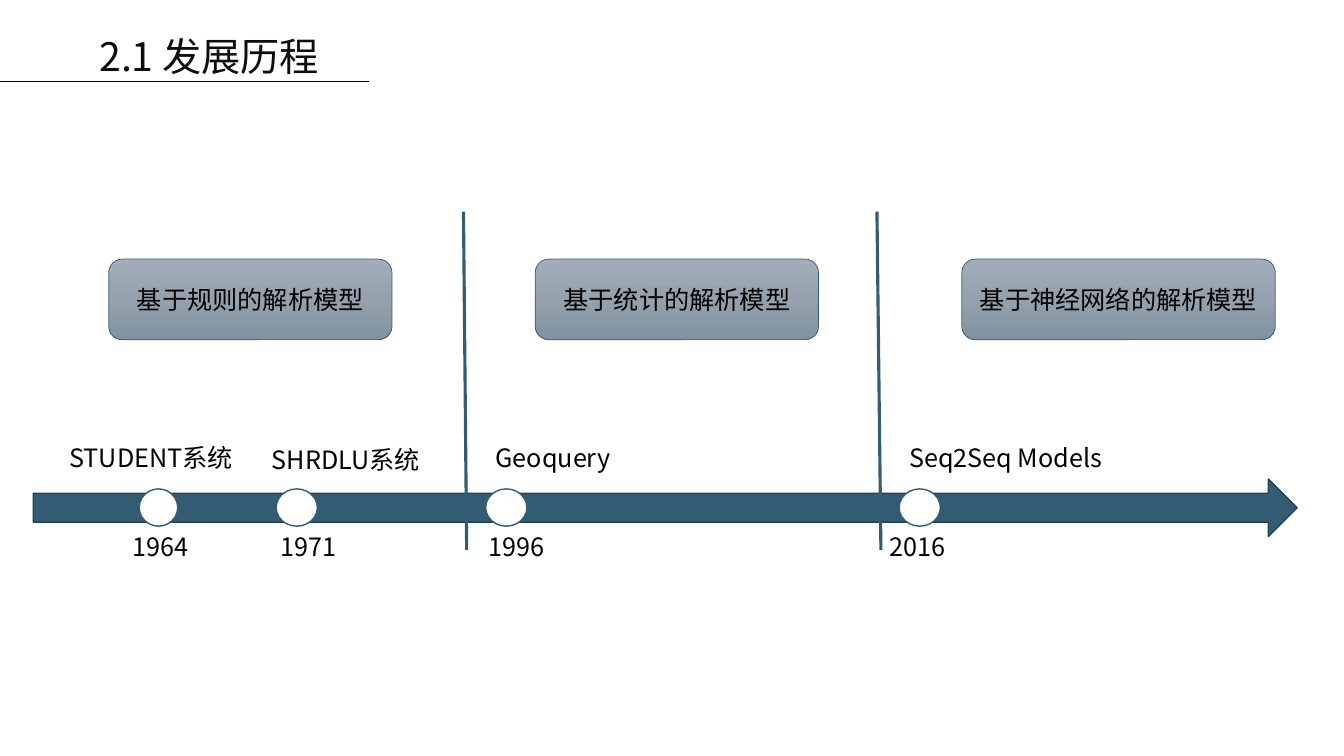
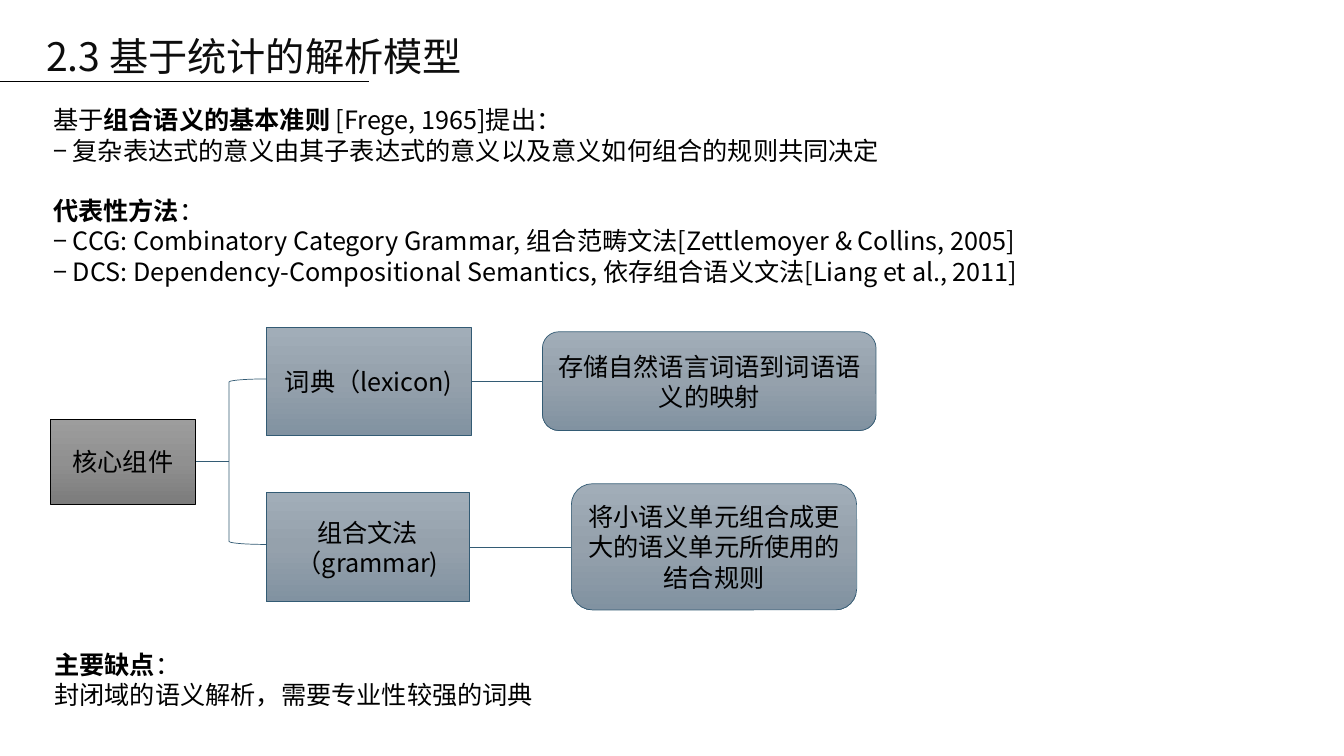
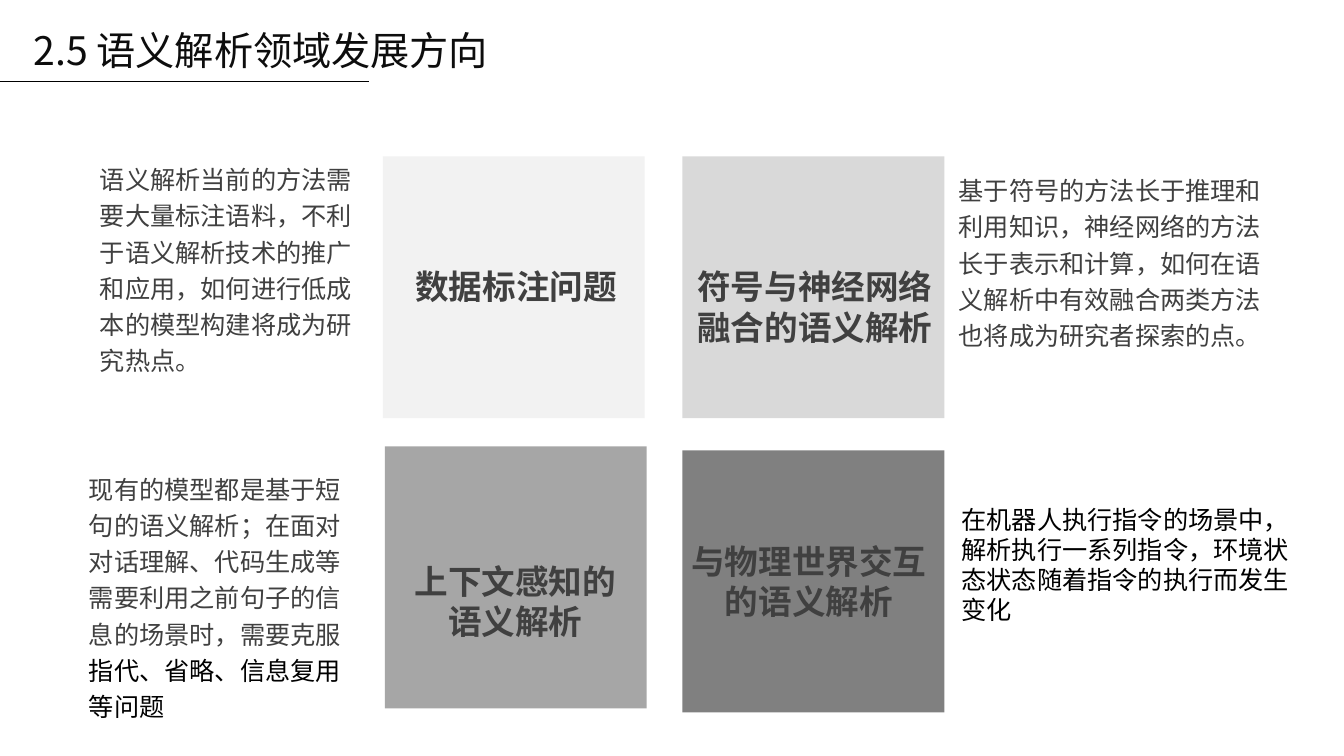
from copy import deepcopy

from lxml import etree
from pptx import Presentation
from pptx.dml.color import RGBColor
from pptx.enum.shapes import MSO_CONNECTOR, MSO_SHAPE
from pptx.enum.text import MSO_ANCHOR, PP_ALIGN
from pptx.oxml.ns import qn
from pptx.util import Cm, Pt

RECT = MSO_SHAPE.RECTANGLE
ROUNDED = MSO_SHAPE.ROUNDED_RECTANGLE
ELLIPSE = MSO_SHAPE.OVAL
ARROW = MSO_SHAPE.RIGHT_ARROW
BRACKET = MSO_SHAPE.LEFT_BRACKET
STRAIGHT = MSO_CONNECTOR.STRAIGHT
LEFT, CENTER = PP_ALIGN.LEFT, PP_ALIGN.CENTER
TOP, MIDDLE = MSO_ANCHOR.TOP, MSO_ANCHOR.MIDDLE

COLORS = {
    "black": "000000", "white": "FFFFFF", "title": "0D0D0D", "body": "404040",
    "teal": "335B74", "teal_dark": "264356",
    "card1": "F2F2F2", "card2": "D9D9D9", "card3": "A6A6A6", "card4": "808080",
    "steel_top": "A1ADB8", "steel_mid": "95A1AC", "steel_end": "8192A1",
    "gray_top": "9D9D9D", "gray_mid": "909090", "gray_end": "7C7C7C",
}
STEEL = ("steel_top", "steel_mid", "steel_end")
GRAY = ("gray_top", "gray_mid", "gray_end")
CJK_FONT = "Noto Sans CJK SC"


def rgb(name):
    return RGBColor.from_string(COLORS[name])


def write(tf, text, size=18, font=CJK_FONT, color="black", bold=False,
          align=LEFT, anchor=TOP, spacing=None, inset=(0.25, 0.13),
          wrap=True, gaps=None):
    """Fill a frame. text is a string or a list of paragraphs; a paragraph is a
    string or a list of (text, overrides); gaps maps paragraph index to points before."""
    tf.word_wrap = wrap
    tf.vertical_anchor = anchor
    tf.margin_left = tf.margin_right = Cm(inset[0])
    tf.margin_top = tf.margin_bottom = Cm(inset[1])
    paragraphs = [text] if isinstance(text, str) else text
    for i, runs in enumerate(paragraphs):
        p = tf.add_paragraph() if i else tf.paragraphs[0]
        p.alignment = align
        if spacing:
            p.line_spacing = spacing
        if gaps and i in gaps:
            p.space_before = Pt(gaps[i])
        for content, changes in [(runs, {})] if isinstance(runs, str) else runs:
            style = {"font": font, "color": color, "bold": bold, **changes}
            r = p.add_run()
            r.text = content
            r.font.size = Pt(size)
            r.font.bold = style["bold"]
            r.font.color.rgb = rgb(style["color"])
            r.font.name = style["font"]
            ea = etree.SubElement(r.font._element, qn("a:ea"))
            ea.set("typeface", CJK_FONT)


def add_text(slide, box, text, **fmt):
    tb = slide.shapes.add_textbox(*map(Cm, box))
    write(tb.text_frame, text, **fmt)


def fill_gradient(sp, names):
    """Vertical gradient with three evenly spaced stops."""
    sp.fill.gradient()
    sp.fill.gradient_angle = 270
    stops = sp._element.spPr.find(qn("a:gradFill")).find(qn("a:gsLst"))
    stops.insert(1, deepcopy(stops[0]))
    for i, (stop, name) in enumerate(zip(sp.fill.gradient_stops, names)):
        stop.position = i / 2
        stop.color.rgb = rgb(name)


def add_shape(slide, kind, box, fill=None, line=None, width=0.5, text=None):
    """fill is a colour name, a tuple of three gradient colours, or None."""
    sp = slide.shapes.add_shape(kind, *map(Cm, box))
    sp.shadow.inherit = False
    if fill is None:
        sp.fill.background()
    elif isinstance(fill, tuple):
        fill_gradient(sp, fill)
    else:
        sp.fill.solid()
        sp.fill.fore_color.rgb = rgb(fill)
    if line:
        sp.line.color.rgb = rgb(line)
        sp.line.width = Pt(width)
    else:
        sp.line.fill.background()
    if text:
        write(sp.text_frame, text, align=CENTER, anchor=MIDDLE)


def add_line(slide, x1, y1, x2, y2, color="teal", width=0.5):
    line = slide.shapes.add_connector(STRAIGHT, *map(Cm, (x1, y1, x2, y2)))
    line.line.color.rgb = rgb(color)
    line.line.width = Pt(width)
    etree.SubElement(line._element.spPr, qn("a:effectLst"))


def link(slide, left_box, right_box):
    """Join two neighbouring boxes at the middle height of the left one."""
    x, y, w, h = left_box
    add_line(slide, x + w, y + h / 2, right_box[0], y + h / 2)


def new_slide(prs, title, title_width, title_top=0.71):
    slide = prs.slides.add_slide(prs.slide_layouts[6])
    add_line(slide, 0, 2.06, 9.3, 2.06, color="black")
    add_text(slide, (0, title_top, title_width, 1.37), title, size=28,
             color="title", align=CENTER, inset=(0.18, 0.1))
    return slide


def build_history(prs):
    slide = new_slide(prs, "2.1 发展历程", 10.54)
    eras = [("基于规则的解析模型", 7.14), ("基于统计的解析模型", 7.14),
            ("基于神经网络的解析模型", 7.9)]
    for i, (era, width) in enumerate(eras):
        add_shape(slide, ROUNDED, (2.74 + 10.75 * i, 6.53, width, 2.03),
                  STEEL, "teal", text=era)
    add_shape(slide, ARROW, (0.84, 12.07, 31.85, 1.45), "teal", "teal_dark", 1)
    for top_x, bottom_x in [(11.68, 11.76), (22.1, 22.2)]:
        add_line(slide, top_x, 5.33, bottom_x, 13.86, width=2.25)

    # year, year x, dot x, dot width, label, label x, label y
    events = [
        ("1964", 3.1, 3.51, 0.97, "STUDENT系统", 1.5, 11.02),
        ("1971", 6.83, 6.96, 1.04, "SHRDLU系统", 6.6, 11.07),
        ("1996", 12.07, 12.24, 1.04, "Geoquery", 12.24, 11.02),
        ("2016", 22.17, 22.66, 1.04, "Seq2Seq Models", 22.66, 11.02),
    ]
    for year, year_x, dot_x, dot_w, label, label_x, label_y in events:
        add_shape(slide, ELLIPSE, (dot_x, 12.32, dot_w, 0.94), "white", "teal", 1)
        add_text(slide, (year_x, 13.26, 3.05, 1.02), year)
        add_text(slide, (label_x, label_y, 8.1, 1.02), label)


def build_statistical(prs):
    slide = new_slide(prs, "2.3 基于统计的解析模型", 12.8)
    bold = {"bold": True}
    add_text(slide, (1.09, 2.51, 30.89, 4.88), [
        [("基于", {}), ("组合语义的基本准则", bold), (" [Frege, 1965]提出：", {})],
        "− 复杂表达式的意义由其子表达式的意义以及意义如何组合的规则共同决定",
        [("代表性方法", bold), ("：", {})],
        "− CCG: Combinatory Category Grammar, 组合范畴文法[Zettlemoyer & Collins, 2005]",
        "− DCS: Dependency-Compositional Semantics, 依存组合语义文法[Liang et al., 2011]",
    ], gaps={2: 21.6})
    add_text(slide, (1.12, 16.23, 19.43, 2.31), [
        [("主要缺点", bold), ("：", {})],
        "封闭域的语义解析，需要专业性较强的词典",
    ])

    root = (1.27, 10.57, 3.66, 2.13)
    bracket = (5.77, 9.55, 0.94, 4.17)
    add_shape(slide, RECT, root, GRAY, "black", text="核心组件")
    add_shape(slide, BRACKET, bracket, line="teal")
    link(slide, root, bracket)
    branches = [
        ("词典（lexicon)", (6.71, 8.26, 5.16, 2.72),
         "存储自然语言词语到词语语义的映射", (13.67, 8.36, 8.41, 2.49)),
        ("组合文法（grammar)", (6.71, 12.42, 5.11, 2.74),
         "将小语义单元组合成更大的语义单元所使用的结合规则",
         (14.4, 12.19, 7.19, 3.18)),
    ]
    for part, part_box, role, role_box in branches:
        add_shape(slide, RECT, part_box, STEEL, "teal", text=part)
        add_shape(slide, ROUNDED, role_box, STEEL, "teal", text=role)
        link(slide, part_box, role_box)


def build_directions(prs):
    slide = new_slide(prs, "2.5 语义解析领域发展方向", 13.15, title_top=0.56)
    # card x, card y, fill, heading lines, heading box
    cards = [
        (9.65, 3.94, "card1", ["数据标注问题"], (10.21, 6.58, 5.59, 1.27)),
        (17.2, 3.94, "card2", ["符号与神经网络", "融合的语义解析"],
         (17.32, 6.58, 6.43, 2.31)),
        (9.7, 11.25, "card3", ["上下文感知的", "语义解析"],
         (10.19, 14, 5.59, 2.31)),
        (17.2, 11.35, "card4", ["与物理世界交互", "的语义解析"],
         (17.17, 13.49, 6.43, 2.31)),
    ]
    for x, y, fill, heading, heading_box in cards:
        add_shape(slide, RECT, (x, y, 6.6, 6.6), fill)
        add_text(slide, heading_box, heading, size=24, font="Quicksand",
                 color="body", bold=True, align=CENTER, wrap=False)

    details = [
        ((2.39, 3.91, 6.86, 6.58),
         "语义解析当前的方法需要大量标注语料，不利于语义解析技术的推广和应用，"
         "如何进行低成本的模型构建将成为研究热点。"),
        ((24.03, 4.19, 8.48, 5.66),
         "基于符号的方法长于推理和利用知识，神经网络的方法长于表示和计算，"
         "如何在语义解析中有效融合两类方法也将成为研究者探索的点。"),
        ((2.11, 11.71, 6.86, 7.2),
         [[("现有的模型都是基于短句的语义解析；在面对对话理解、代码生成等"
            "需要利用之前句子的信息的场景时，需要克服", {}),
           ("指代、省略、信息复用等问题", {"font": CJK_FONT, "color": "black"})]]),
    ]
    for box, text in details:
        add_text(slide, box, text, font="Arial", color="body", spacing=1.2,
                 inset=(0.13, 0.08))
    add_text(slide, (23.98, 12.57, 9.04, 4.09),
             "在机器人执行指令的场景中，解析执行一系列指令，"
             "环境状态状态随着指令的执行而发生变化")


def main():
    prs = Presentation()
    prs.slide_width, prs.slide_height = Cm(33.87), Cm(19.05)
    build_history(prs)
    build_statistical(prs)
    build_directions(prs)
    prs.save("out.pptx")


if __name__ == "__main__":
    main()
